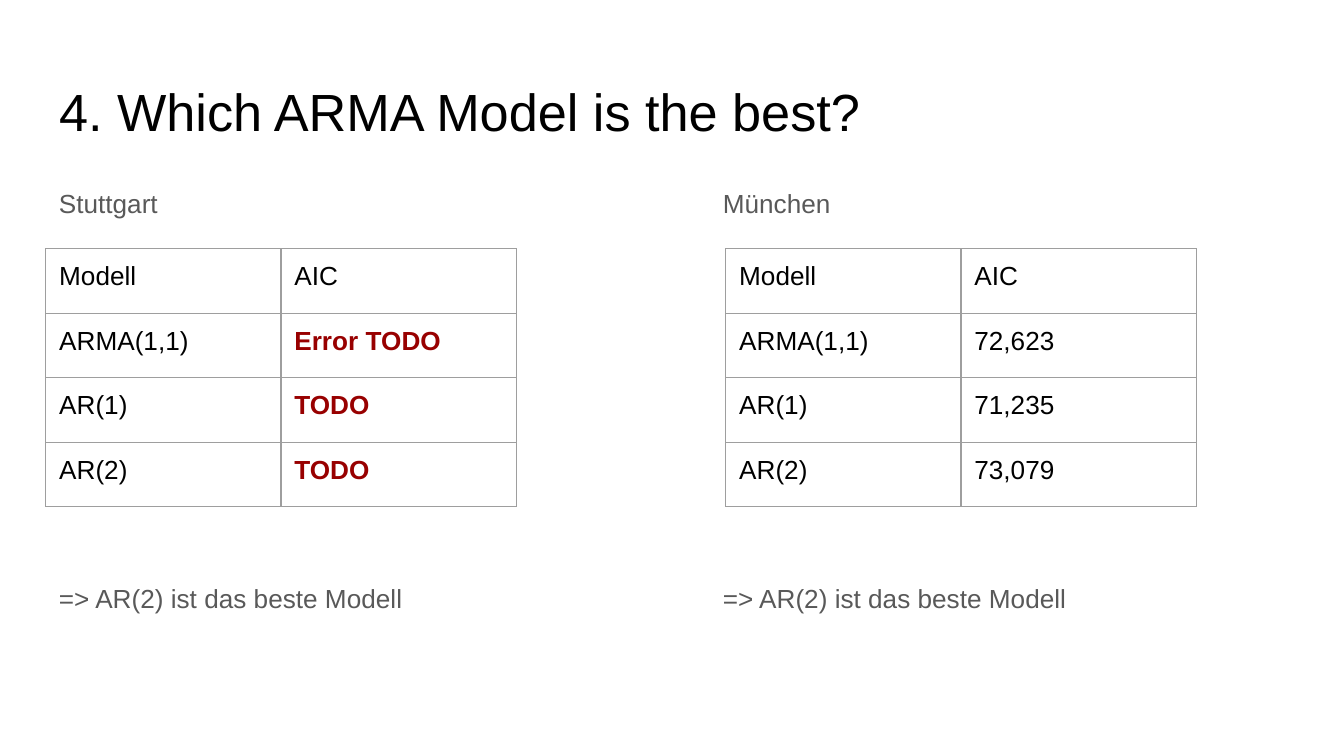
from pptx import Presentation
from pptx.dml.color import RGBColor
from pptx.enum.text import MSO_ANCHOR, MSO_AUTO_SIZE, PP_ALIGN
from pptx.oxml import parse_xml
from pptx.oxml.ns import nsdecls
from pptx.util import Inches, Pt

SLIDE_W = 10
SLIDE_H = SLIDE_W * 9 / 16
MARGIN = 0.34
INSET = 0.1
CITY_TOP, CITY_W, CITY_H = 1.26, 4.37, 3.74
TABLE_TOP, COL_W, ROW_H = 1.85, 1.75, 0.48
BLACK, GRAY, RED, WHITE, BORDER = "000000", "595959", "980000", "FFFFFF", "9E9E9E"

MODELS = ["ARMA(1,1)", "AR(1)", "AR(2)"]
CONCLUSION = "=> AR(2) ist das beste Modell"
# City, left of its text, left of its table, AIC values, format of the values
CITIES = [
    ("Stuttgart", MARGIN, MARGIN, ["Error TODO", "TODO", "TODO"],
     {"color": RED, "bold": True}),
    ("München", 5.28, 5.4, ["72,623", "71,235", "73,079"], {}),
]


def rgb(value):
    return RGBColor.from_string(value)


def set_attributes(target, values):
    for name, value in values.items():
        setattr(target, name, value)


def write(paragraph, text, size=14, color=BLACK, bold=False):
    run = paragraph.add_run()
    run.text = text
    set_attributes(run.font, {"name": "Arial", "size": Pt(size), "bold": bold})
    run.font.color.rgb = rgb(color)


def set_margins(target):
    set_attributes(target, {f"margin_{side}": Inches(INSET)
                            for side in ("left", "top", "right", "bottom")})


def prepare_frame(frame):
    set_margins(frame)
    set_attributes(frame, {"word_wrap": True, "auto_size": MSO_AUTO_SIZE.NONE,
                           "vertical_anchor": MSO_ANCHOR.TOP})


def add_title(slide, text):
    title = slide.shapes.title
    set_attributes(title, {"left": Inches(MARGIN), "top": Inches(0.49),
                           "width": Inches(SLIDE_W - 2 * MARGIN), "height": Inches(0.63)})
    prepare_frame(title.text_frame)
    heading = title.text_frame.paragraphs[0]
    heading.alignment = PP_ALIGN.LEFT
    write(heading, text, size=28)


def add_city_text(slide, left, city):
    box = slide.shapes.add_textbox(Inches(left), Inches(CITY_TOP),
                                   Inches(CITY_W), Inches(CITY_H))
    frame = box.text_frame
    prepare_frame(frame)
    # The space before the conclusion leaves room for the table
    for paragraph, text, space in ((frame.paragraphs[0], city, 0),
                                   (frame.add_paragraph(), CONCLUSION, 192.5)):
        set_attributes(paragraph, {"line_spacing": 1.15, "space_before": Pt(space)})
        write(paragraph, text, color=GRAY)


def add_borders(cell):
    properties = cell._tc.get_or_add_tcPr()
    for position, side in enumerate(("lnL", "lnR", "lnT", "lnB")):
        properties.insert(position, parse_xml(
            f'<a:{side} {nsdecls("a")} w="{Pt(0.75)}"><a:solidFill>'
            f'<a:srgbClr val="{BORDER}"/></a:solidFill></a:{side}>'))


def add_aic_table(slide, left, values, value_format):
    rows = [("Modell", "AIC"), *zip(MODELS, values)]
    table = slide.shapes.add_table(
        len(rows), 2, Inches(left), Inches(TABLE_TOP),
        Inches(2 * COL_W), Inches(len(rows) * ROW_H)).table
    set_attributes(table, {"first_row": False, "horz_banding": False})
    for r, row in enumerate(rows):
        for c, text in enumerate(row):
            cell = table.cell(r, c)
            set_margins(cell)
            cell.fill.solid()
            cell.fill.fore_color.rgb = rgb(WHITE)
            add_borders(cell)
            is_value = r > 0 and c == 1
            write(cell.text_frame.paragraphs[0], text, **(value_format if is_value else {}))


def main():
    deck = Presentation()
    set_attributes(deck, {"slide_width": Inches(SLIDE_W), "slide_height": Inches(SLIDE_H)})
    slide = deck.slides.add_slide(deck.slide_layouts[5])

    add_title(slide, "4. Which ARMA Model is the best?")
    # One text and one table for each city
    for city, text_left, table_left, values, value_format in CITIES:
        add_city_text(slide, text_left, city)
        add_aic_table(slide, table_left, values, value_format)

    deck.save("out.pptx")


if __name__ == "__main__":
    main()
